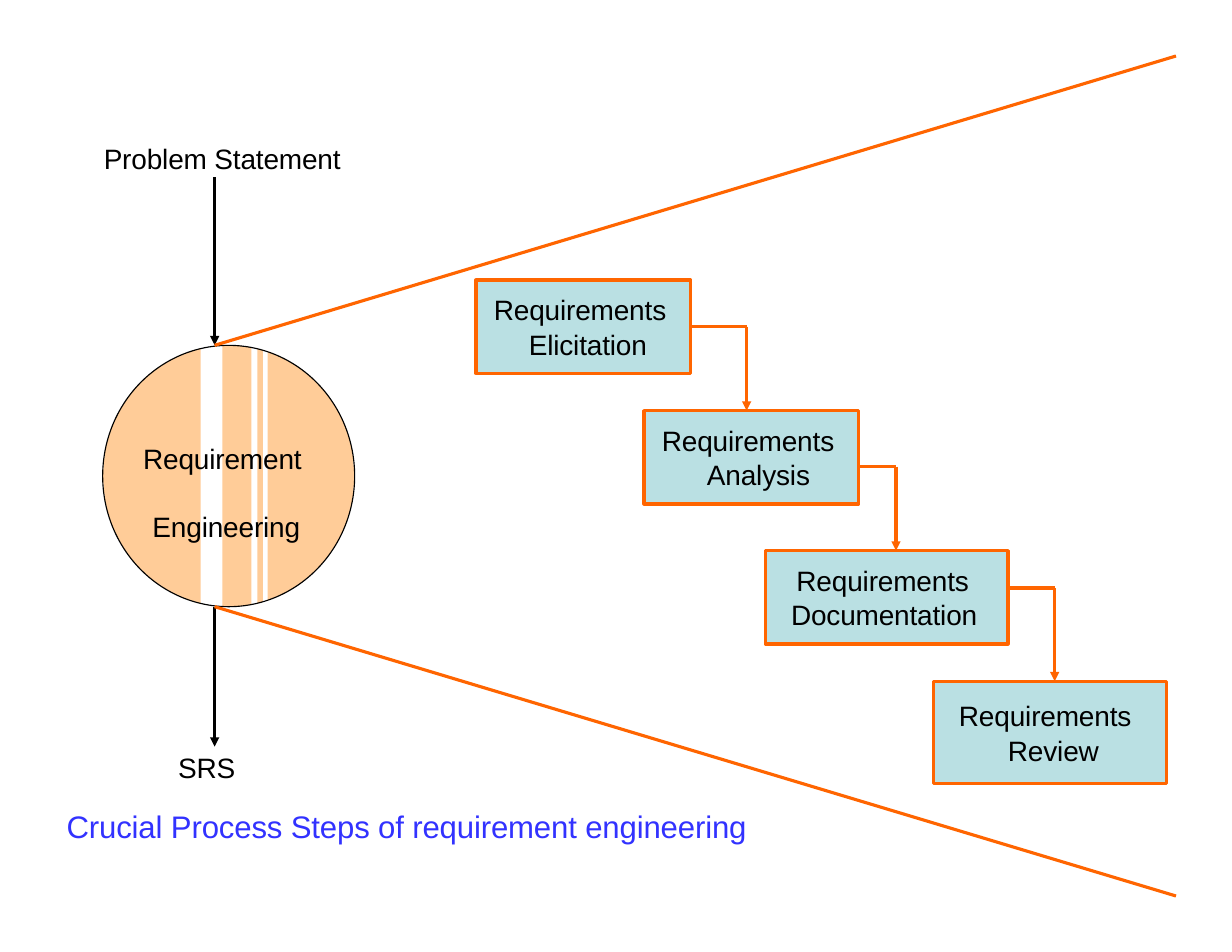
import math

import pptx
import pptx.dml.color
import pptx.enum.shapes
import pptx.enum.text
import pptx.oxml.xmlchemy
import pptx.util

Pt = pptx.util.Pt
ORANGE, BLACK, PALE_BLUE, PEACH, BLUE = "FF6500", "000000", "BAE0E3", "FFCC98", "3232FF"


def color(hex_value):
    return pptx.dml.color.RGBColor.from_string(hex_value)


def set_values(target, values):
    for name, value in values.items():
        setattr(target, name, value)


def paint(shape, fill=None, line=None, width=2):
    shape.shadow.inherit = False
    if fill:
        shape.fill.solid()
        shape.fill.fore_color.rgb = color(fill)
    else:
        shape.fill.background()
    if line:
        shape.line.color.rgb = color(line)
        shape.line.width = Pt(width)
    else:
        shape.line.fill.background()


def write_lines(shape, lines, gap=0, size=18, hex_value=BLACK, anchor="TOP", wrap=True):
    """Write (text, left indent) pairs, one paragraph each."""
    frame = shape.text_frame
    set_values(frame, {
        "margin_left": 0, "margin_top": 0, "margin_right": 0, "margin_bottom": 0,
        "word_wrap": wrap, "auto_size": pptx.enum.text.MSO_AUTO_SIZE.NONE,
        "vertical_anchor": getattr(pptx.enum.text.MSO_ANCHOR, anchor),
    })
    for index, (text, indent) in enumerate(lines):
        paragraph = frame.add_paragraph() if index else frame.paragraphs[0]
        set_values(paragraph, {
            "alignment": pptx.enum.text.PP_ALIGN.LEFT,
            "space_before": Pt(gap if index else 0),
        })
        properties = paragraph._p.get_or_add_pPr()
        properties.set("marL", str(Pt(indent)))
        properties.set("indent", "0")
        run = paragraph.add_run()
        run.text = text
        set_values(run.font, {"name": "Arial", "size": Pt(size), "bold": False})
        run.font.color.rgb = color(hex_value)
        run._r.get_or_add_rPr().set("spc", "-10")


def add_text(slide, box, lines, **options):
    text_box = slide.shapes.add_textbox(*map(Pt, box))
    write_lines(text_box, lines, **options)


def add_line(slide, start, end, hex_value, arrow=False):
    line = slide.shapes.add_connector(
        pptx.enum.shapes.MSO_CONNECTOR.STRAIGHT, *map(Pt, start + end))
    line.line.color.rgb = color(hex_value)
    line.line.width = Pt(2)
    if arrow:
        head = pptx.oxml.xmlchemy.OxmlElement("a:tailEnd")
        head.set("type", "triangle")
        line.line._get_or_add_ln().append(head)
    line._element.spPr.append(pptx.oxml.xmlchemy.OxmlElement("a:effectLst"))
    return line


def add_striped_circle(slide, box):
    left, top, width, height = box
    center_x, center_y = left + width / 2, top + height / 2

    def arc_point(x, side):
        reach = math.sqrt(max(0, 1 - ((x - center_x) / (width / 2)) ** 2))
        return Pt(x), Pt(center_y + side * reach * height / 2)

    # Peach bands, cut along the circle
    for start, end in ((0, 63), (77, 95.5), (99.5, 103), (106, width)):
        steps = 40
        columns = [left + start + (end - start) * i / steps for i in range(steps + 1)]
        points = [arc_point(x, -1) for x in columns]
        points += [arc_point(x, 1) for x in reversed(columns)]
        builder = slide.shapes.build_freeform(*points[0])
        builder.add_line_segments(points[1:], close=True)
        paint(builder.convert_to_shape(), fill=PEACH)

    # Outline and name
    outline = slide.shapes.add_shape(pptx.enum.shapes.MSO_SHAPE.OVAL, *map(Pt, box))
    paint(outline, line=BLACK, width=0.75)
    add_text(slide, (left + 26, top + 62, 110, 64),
             [("Requirement", 0), ("Engineering", 6)], gap=22)


def add_input_and_output(slide, box):
    left, top, width, height = box
    axis = left + 72
    bottom = top + height
    add_text(slide, (left + 0.7, top - 131.3, 156, 23), [("Problem Statement", 0)], wrap=False)
    add_text(slide, (left + 48.5, bottom + 92.4, 39, 23), [("SRS", 0)], wrap=False)
    add_line(slide, (axis, top - 108), (axis, top), BLACK, arrow=True)
    add_line(slide, (axis, bottom), (axis, bottom + 90), BLACK, arrow=True)
    # Rays that open towards the steps
    for edge, rise in ((top, -186), (bottom, 186)):
        add_line(slide, (axis, edge), (axis + 618, edge + rise), ORANGE)


def add_step(slide, box, lines):
    step = slide.shapes.add_shape(pptx.enum.shapes.MSO_SHAPE.RECTANGLE, *map(Pt, box))
    paint(step, fill=PALE_BLUE, line=ORANGE)
    write_lines(step, lines, gap=0.8, anchor="MIDDLE")
    return step


def add_staircase(slide, origin):
    # Offset and size of each step, its lines, and the bend (right, down) that leaves it
    steps = (
        ((0, 0, 138, 60), [("Requirements", 11.5), ("Elicitation", 34)], (36, 30)),
        ((108, 84, 138, 60), [("Requirements", 11.5), ("Analysis", 40.5)], (24, 36)),
        ((186, 174, 156, 60), [("Requirements", 20), ("Documentation", 16.5)], (30, 24)),
        ((294, 258, 150, 66), [("Requirements", 16.5), ("Review", 48)], None),
    )
    boxes = [(origin[0] + x, origin[1] + y, w, h) for (x, y, w, h), _, _ in steps]
    for index, (box, (_, lines, bend)) in enumerate(zip(boxes, steps)):
        step = add_step(slide, box, lines)
        if bend is None:
            continue
        left, top, width, height = box
        right, level = left + width, top + bend[1]
        corner = (right + bend[0], level)
        link = add_line(slide, (right, level), corner, ORANGE)
        if bend[1] == height / 2:
            link.begin_connect(step, 3)
        add_line(slide, corner, (corner[0], boxes[index + 1][1]), ORANGE, arrow=True)


def add_caption(slide, box):
    title = slide.shapes.title
    set_values(title, dict(zip(("left", "top", "width", "height"), map(Pt, box))))
    write_lines(title, [("Crucial Process Steps of requirement engineering", 0)],
                size=20, hex_value=BLUE)


def main():
    presentation = pptx.Presentation()
    set_values(presentation, {"slide_width": Pt(792), "slide_height": Pt(612)})
    slide = presentation.slides.add_slide(presentation.slide_layouts[5])

    circle_box = (66, 222, 162, 168)
    add_striped_circle(slide, circle_box)
    add_input_and_output(slide, circle_box)
    add_staircase(slide, (306, 180))
    add_caption(slide, (42.8, 519.1, 460, 26))
    presentation.save("out.pptx")


if __name__ == "__main__":
    main()
